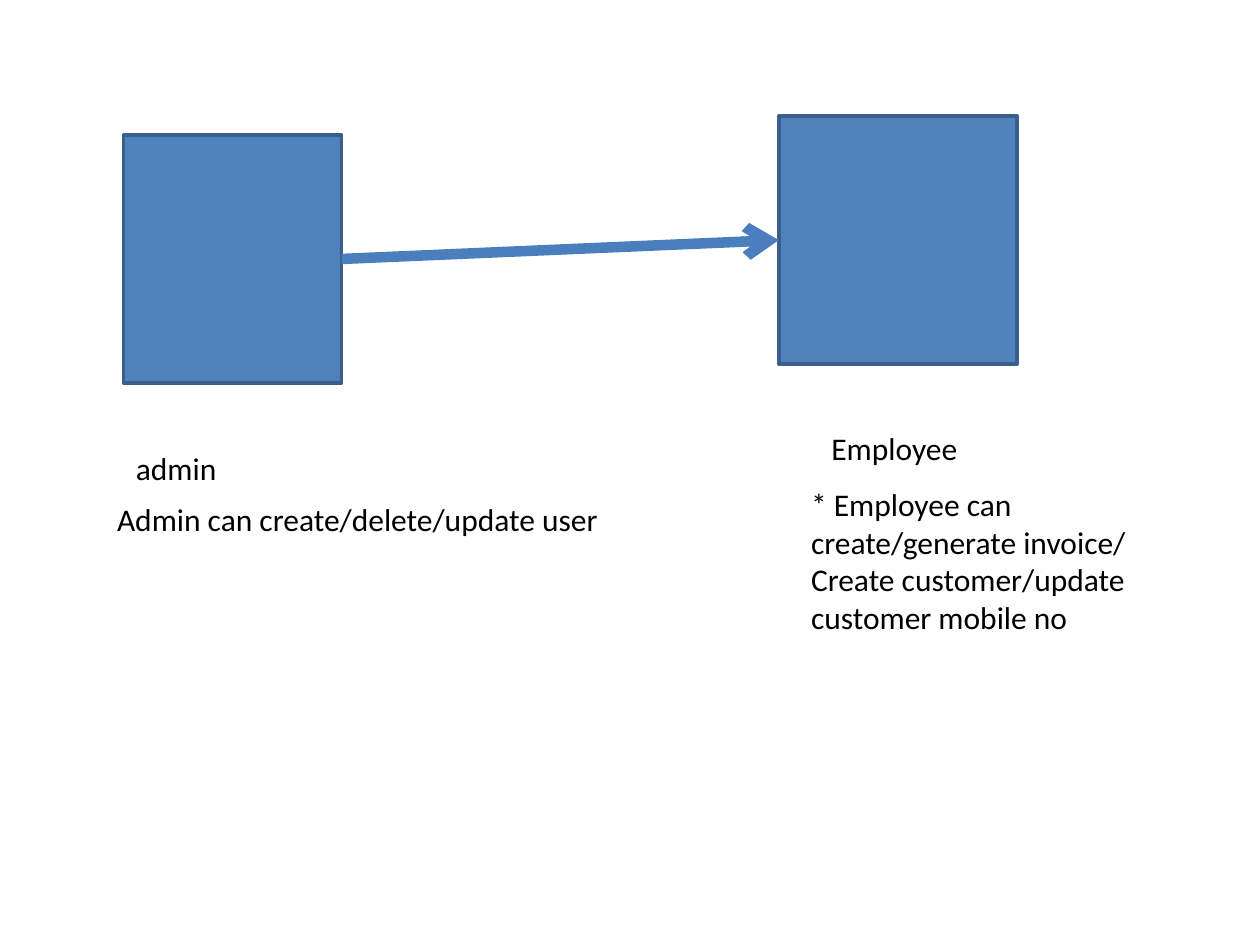
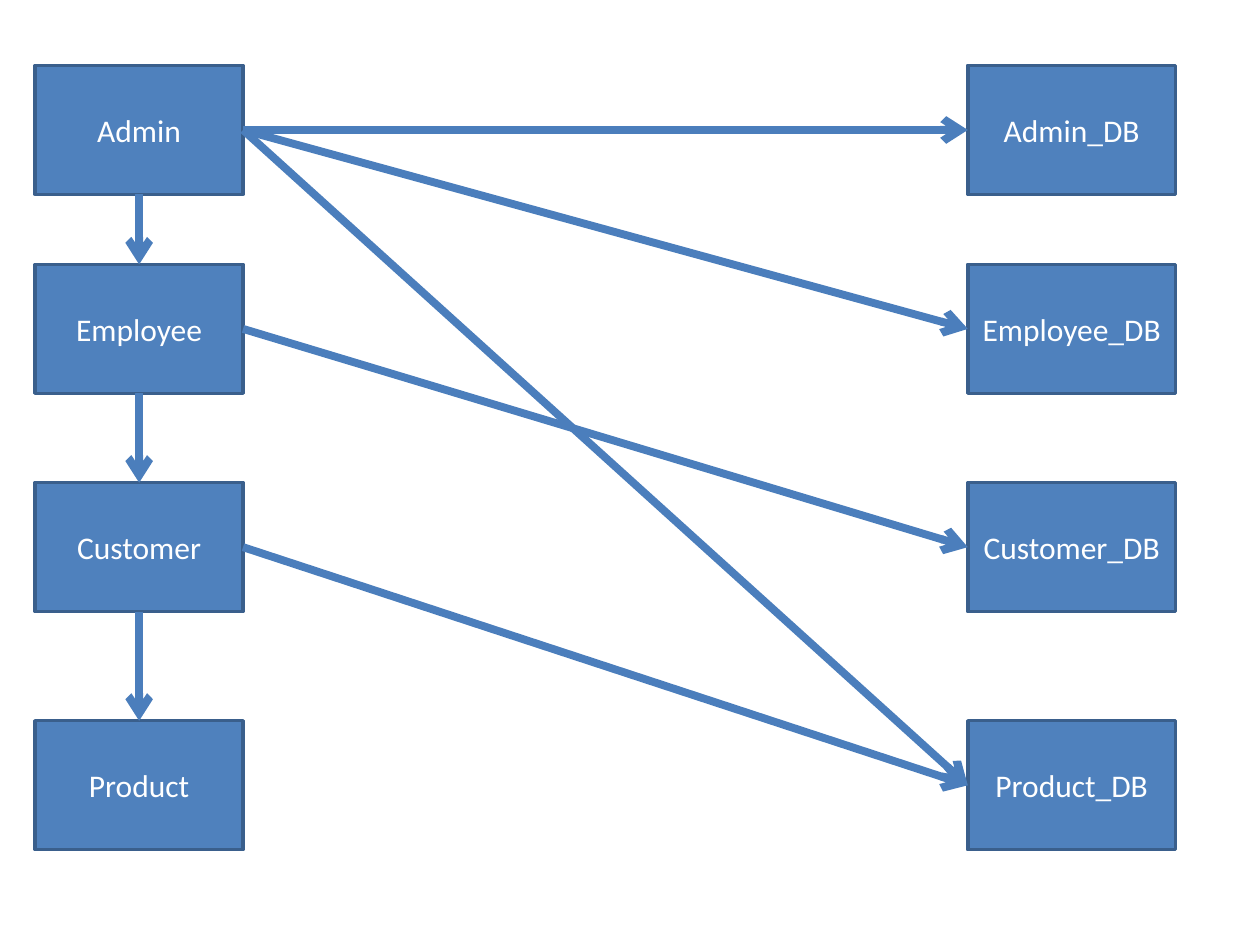
from lxml.etree import SubElement
from pptx import Presentation
from pptx.dml.color import RGBColor
from pptx.enum.shapes import MSO_CONNECTOR as Connector, MSO_SHAPE as Shape
from pptx.enum.text import MSO_ANCHOR as Anchor, MSO_AUTO_SIZE as AutoSize, PP_ALIGN as Align
from pptx.oxml.ns import qn
from pptx.util import Cm, Pt

# Content: role boxes and their captions (left, top, width, height in cm)
ROLE_BOXES = {
    "admin": (2.49, 2.72, 4.4, 5),
    "employee": (15.7, 2.34, 4.8, 5),
}
CAPTIONS = [
    (["admin"], (2.49, 8.92, 2.16, 1.02), False),
    (["Employee"], (16.51, 8.53, 3.07, 1.02), False),
    (["Admin can create/delete/update user"], (2.11, 9.96, 10.34, 1.02), False),
    (["* Employee can create/generate invoice/",
      "Create customer/update customer mobile no"], (16.1, 9.65, 8.41, 3.33), True),
]

# Content: each entity, its row top in cm, and the databases it reaches
ENTITIES = [
    ("Admin", 1.32, ["Admin", "Employee", "Product"]),
    ("Employee", 5.33, ["Customer"]),
    ("Customer", 9.73, ["Product"]),
    ("Product", 14.53, []),
]
ENTITY_LEFT, DATABASE_LEFT = 0.71, 19.51
BOX_WIDTH, BOX_HEIGHT = 4.19, 2.6

# Shared style
FONT, TEXT_SIZE = "Calibri", Pt(18)
BOX_FILL = RGBColor(0x4F, 0x81, 0xBD)
BOX_LINE = RGBColor(0x3A, 0x5F, 0x8C)
ARROW_COLOR = RGBColor(0x4B, 0x7E, 0xBC)
BLACK = RGBColor(0, 0, 0)
WHITE = RGBColor(0xFF, 0xFF, 0xFF)
TOP, LEFT, BOTTOM, RIGHT = range(4)  # connection sites of a rectangle


def write(para, text, color):
    span = para.add_run()
    span.text = text
    span.font.name = FONT
    span.font.size = TEXT_SIZE
    span.font.color.rgb = color


def add_box(page, place, label=""):
    box = page.shapes.add_shape(Shape.RECTANGLE, *map(Cm, place))
    box.shadow.inherit = False
    box.fill.solid()
    box.fill.fore_color.rgb = BOX_FILL
    box.line.color.rgb = BOX_LINE
    box.line.width = Pt(2)
    if label:
        box.text_frame.vertical_anchor = Anchor.MIDDLE
        para = box.text_frame.paragraphs[0]
        para.alignment = Align.CENTER
        write(para, label, WHITE)
    return box


def add_caption(page, lines, place, wraps):
    frame = page.shapes.add_textbox(*map(Cm, place)).text_frame
    frame.word_wrap = wraps
    frame.auto_size = AutoSize.SHAPE_TO_FIT_TEXT
    for index, line in enumerate(lines):
        para = frame.add_paragraph() if index else frame.paragraphs[0]
        write(para, line, BLACK)


def add_arrow(page, start, start_site, end, end_site, width):
    arrow = page.shapes.add_connector(Connector.STRAIGHT, 0, 0, 0, 0)
    arrow.begin_connect(start, start_site)
    arrow.end_connect(end, end_site)
    arrow.line.color.rgb = ARROW_COLOR
    arrow.line.width = Pt(width)
    properties = arrow.element.spPr
    SubElement(properties.find(qn("a:ln")), qn("a:tailEnd"), type="arrow")
    SubElement(properties, qn("a:effectLst"))


def build_roles(page):
    boxes = {role: add_box(page, place) for role, place in ROLE_BOXES.items()}
    add_arrow(page, boxes["admin"], RIGHT, boxes["employee"], LEFT, 6)
    for caption in CAPTIONS:
        add_caption(page, *caption)


def build_data_flow(page):
    # Two columns of boxes sharing the same rows
    entities, databases = {}, {}
    for name, top, _ in ENTITIES:
        entities[name] = add_box(page, (ENTITY_LEFT, top, BOX_WIDTH, BOX_HEIGHT), name)
        databases[name] = add_box(page, (DATABASE_LEFT, top, BOX_WIDTH, BOX_HEIGHT), f"{name}_DB")

    # Chain down the entities, then links across to the databases
    chain = list(entities.values())
    for upper, lower in zip(chain, chain[1:]):
        add_arrow(page, upper, BOTTOM, lower, TOP, 4.5)
    for name, _, targets in ENTITIES:
        for target in targets:
            add_arrow(page, entities[name], RIGHT, databases[target], LEFT, 4.5)


def main():
    deck = Presentation()
    deck.slide_width, deck.slide_height = Cm(25.4), Cm(19.05)
    blank = deck.slide_layouts[6]
    for build in (build_roles, build_data_flow):
        build(deck.slides.add_slide(blank))
    deck.save("out.pptx")


if __name__ == "__main__":
    main()
